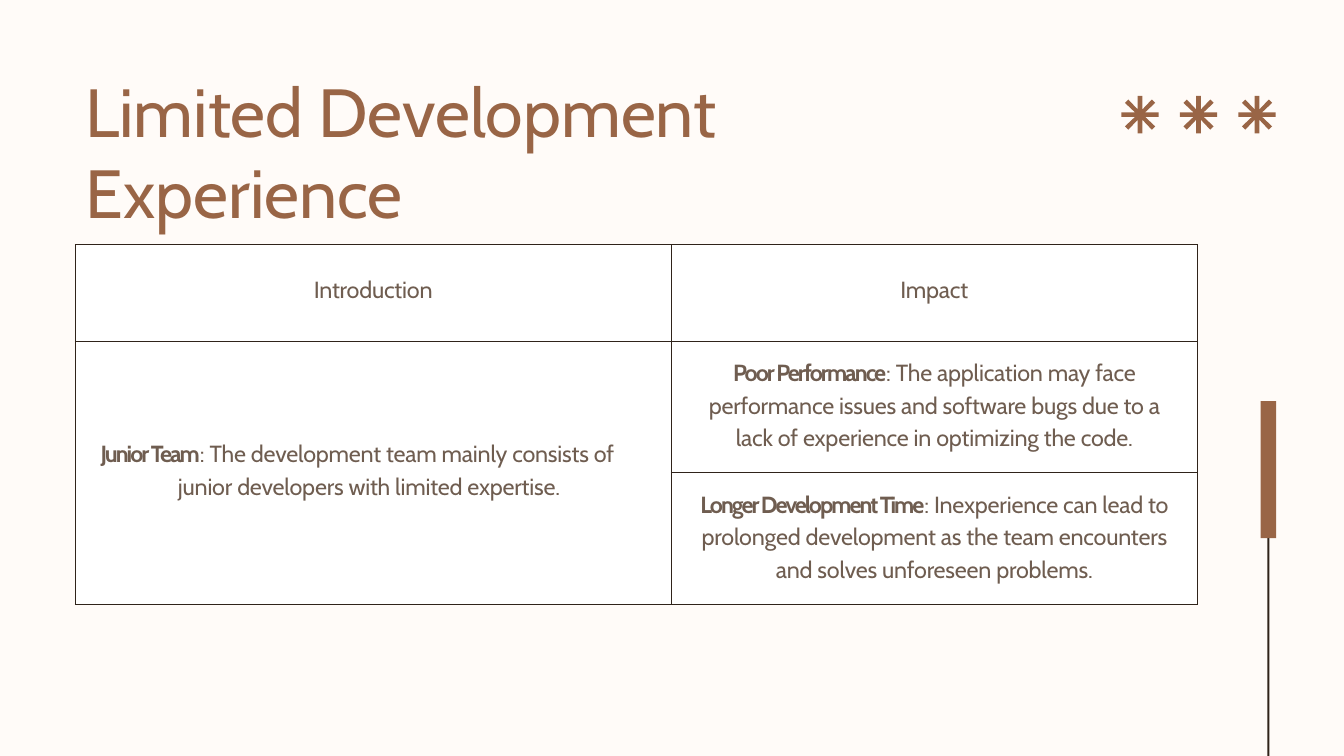
from lxml.etree import SubElement
from pptx import Presentation
from pptx.dml.color import RGBColor
from pptx.enum.shapes import MSO_SHAPE
from pptx.enum.text import MSO_ANCHOR, MSO_AUTO_SIZE, PP_ALIGN
from pptx.oxml.ns import qn
from pptx.util import Pt

BACKGROUND, WHITE = "FFFBF8", "FFFFFF"
BROWN, DARK, TEXT = "996546", "2F231A", "6F5D50"


def rgb(value):
    return RGBColor.from_string(value)


class Deck:
    """Style settings and the slide being built."""

    font = "Cabin"
    title_size = 73
    text_size = 25

    def __init__(self, prs):
        self.s = prs.slides.add_slide(prs.slide_layouts[5])
        fill = self.s.background.fill
        fill.solid()
        fill.fore_color.rgb = rgb(BACKGROUND)

    def style(self, p, size, color, align):
        p.alignment = align
        p.font.name = self.font
        p.font.size = Pt(size)
        p.font.color.rgb = rgb(color)

    def paint(self, sp, color):
        sp.shadow.inherit = False
        sp.fill.solid()
        sp.fill.fore_color.rgb = rgb(color)
        sp.line.fill.background()

    def title(self, text, x, y, w, h):
        sp = self.s.shapes.title
        sp.left, sp.top, sp.width, sp.height = Pt(x), Pt(y), Pt(w), Pt(h)
        tf = sp.text_frame
        tf.word_wrap = True
        tf.auto_size = MSO_AUTO_SIZE.NONE
        tf.vertical_anchor = MSO_ANCHOR.TOP
        tf.margin_left = tf.margin_top = tf.margin_right = tf.margin_bottom = 0
        tf.text = text
        p = tf.paragraphs[0]
        p.space_before = Pt(1)
        self.style(p, self.title_size, BROWN, PP_ALIGN.LEFT)

    def bar(self, x, y, w, h, color):
        sp = self.s.shapes.add_shape(MSO_SHAPE.RECTANGLE, Pt(x), Pt(y), Pt(w), Pt(h))
        self.paint(sp, color)

    def asterisk(self, cx, cy):
        """Eight-armed star: one quadrant outline turned four times."""
        quadrant = [(2.5, -20), (2.5, -5.5), (12.6, -16.2),
                    (16.2, -12.6), (5.5, -2.5), (20, -2.5)]
        points = []
        for _ in range(4):
            points += [(Pt(cx + x), Pt(cy + y)) for x, y in quadrant]
            quadrant = [(-y, x) for x, y in quadrant]
        builder = self.s.shapes.build_freeform(*points[0])
        builder.add_line_segments(points[1:], close=True)
        self.paint(builder.convert_to_shape(), BROWN)

    def table(self, x, y, widths, heights):
        frame = self.s.shapes.add_table(
            len(heights), len(widths), Pt(x), Pt(y), Pt(sum(widths)), Pt(sum(heights)))
        table = frame.table
        table.first_row = table.horz_banding = False
        for column, width in zip(table.columns, widths):
            column.width = Pt(width)
        for row, height in zip(table.rows, heights):
            row.height = Pt(height)
        for cell in table.iter_cells():
            self.border(cell)
            cell.fill.solid()
            cell.fill.fore_color.rgb = rgb(WHITE)
        return table

    def border(self, cell):
        tc_pr = cell._tc.get_or_add_tcPr()
        for side in ("a:lnL", "a:lnR", "a:lnT", "a:lnB"):
            ln = SubElement(tc_pr, qn(side), w=str(Pt(0.75)))
            fill = SubElement(ln, qn("a:solidFill"))
            SubElement(fill, qn("a:srgbClr"), val=DARK)

    def cell(self, cell, text, label="", align=PP_ALIGN.CENTER, side=0, top=0,
             bottom=0, anchor=MSO_ANCHOR.MIDDLE):
        """Fill a cell with an optional bold, tightly spaced label and its text."""
        cell.margin_left = cell.margin_right = Pt(side)
        cell.margin_top, cell.margin_bottom = Pt(top), Pt(bottom)
        cell.vertical_anchor = anchor
        p = cell.text_frame.paragraphs[0]
        self.style(p, self.text_size, TEXT, align)
        if label:
            p.line_spacing = 1.15
            self.run(p, label, -2.1, bold=True)
        self.run(p, text, -0.2)
        return p

    def run(self, p, text, spacing, bold=False):
        r = p.add_run()
        r.text = text
        r.font.bold = bold
        r.font._element.set("spc", str(round(spacing * 100)))


def main():
    prs = Presentation()
    prs.slide_width, prs.slide_height = Pt(1440), Pt(810)
    deck = Deck(prs)

    deck.title("Limited Development Experience", 91.5, 74, 980, 180)
    for i in range(3):
        deck.asterisk(1221.5 + 62.65 * i, 122.8)

    table = deck.table(80.6, 262, [638.6, 563.8], [103.2, 141, 141])
    for column, heading in enumerate(["Introduction", "Impact"]):
        deck.cell(table.cell(0, column), heading, bottom=5)

    table.cell(1, 0).merge(table.cell(2, 0))
    p = deck.cell(
        table.cell(1, 0),
        ": The development team mainly consists of junior developers with limited expertise.",
        "Junior Team", align=PP_ALIGN.LEFT, bottom=9)
    p_pr = p._p.get_or_add_pPr()
    p_pr.set("marL", str(Pt(110)))
    p_pr.set("indent", str(Pt(-82.8)))

    impacts = [
        ("Poor Performance", ": The application may face performance issues and "
         "software bugs due to a lack of experience in optimizing the code."),
        ("Longer Development Time", ": Inexperience can lead to prolonged development "
         "as the team encounters and solves unforeseen problems."),
    ]
    for row, (label, text) in enumerate(impacts, start=1):
        deck.cell(table.cell(row, 1), text, label, side=18, top=15,
                  anchor=MSO_ANCHOR.TOP)

    deck.bar(1358, 576.7, 2.2, 233.3, DARK)
    deck.bar(1350.7, 429.8, 16.6, 146.9, BROWN)
    prs.save("out.pptx")


if __name__ == "__main__":
    main()
